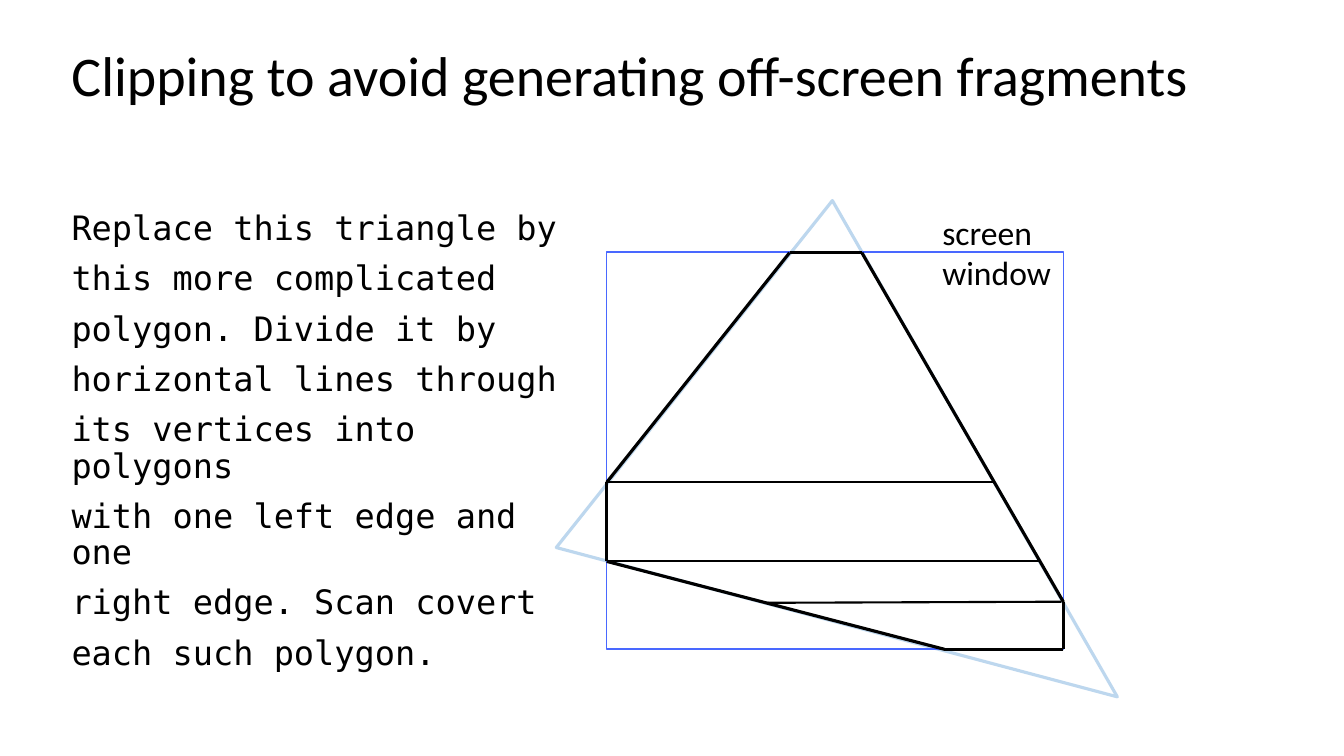
"""Build a slide on clipping a triangle to the screen window."""
import itertools

import pptx
import pptx.dml.color
import pptx.enum.shapes
import pptx.enum.text
import pptx.oxml.ns
import pptx.util
from lxml import etree

Pt = pptx.util.Pt
RGBColor = pptx.dml.color.RGBColor
MSO_SHAPE = pptx.enum.shapes.MSO_SHAPE
MSO_ANCHOR = pptx.enum.text.MSO_ANCHOR

BLACK = RGBColor(0x00, 0x00, 0x00)
PALE_BLUE = RGBColor(0xBD, 0xD7, 0xEE)
WINDOW_BLUE = RGBColor(0x49, 0x68, 0xFF)

LEFT, TOP, RIGHT, BOTTOM = 433.4, 180.5, 759.6, 463.8
UPPER_CUT, LOWER_CUT, RIGHT_CUT = 344.5, 401, 430

CLIPPED_POLYGON = [
    (LEFT, UPPER_CUT), (564, TOP), (615.6, TOP), (RIGHT, RIGHT_CUT),
    (RIGHT, BOTTOM), (674.6, BOTTOM), (LEFT, LOWER_CUT),
]
DIVIDERS = [
    ((LEFT, UPPER_CUT), (710.6, UPPER_CUT)),
    ((LEFT, LOWER_CUT), (743.8, LOWER_CUT)),
    ((545.8, 430.6), (758.2, 429.8)),
]
EXPLANATION = [
    "Replace this triangle by",
    "this more complicated",
    "polygon. Divide it by",
    "horizontal lines through",
    "its vertices into polygons",
    "with one left edge and one",
    "right edge. Scan covert",
    "each such polygon.",
]


def add_outline(s, kind, box, color, width):
    """Add an unfilled preset shape."""
    sp = s.shapes.add_shape(kind, *map(Pt, box))
    sp.shadow.inherit = False
    sp.fill.background()
    sp.line.color.rgb = color
    sp.line.width = Pt(width)
    return sp


def add_line(s, start, end, width):
    """Add a straight black line between two points."""
    line = s.shapes.add_connector(
        pptx.enum.shapes.MSO_CONNECTOR.STRAIGHT, *map(Pt, start + end))
    line.line.color.rgb = BLACK
    line.line.width = Pt(width)
    etree.SubElement(line._element.spPr, pptx.oxml.ns.qn("a:effectLst"))


def add_text(s, box, lines, font, size, spacing=1.0, gap=0, anchor=MSO_ANCHOR.TOP):
    """Add a wrapped text box with one paragraph per line."""
    tf = s.shapes.add_textbox(*map(Pt, box)).text_frame
    tf.word_wrap = True
    tf.vertical_anchor = anchor
    tf.text = "\n".join(lines)
    for i, p in enumerate(tf.paragraphs):
        p.line_spacing = spacing
        p.space_before = Pt(gap if i else 0)
        for r in p.runs:
            r.font.name = font
            r.font.size = Pt(size)
            r.font.color.rgb = BLACK


def main():
    """Draw the slide and save it."""
    prs = pptx.Presentation()
    prs.slide_width, prs.slide_height = Pt(960), Pt(540)
    s = prs.slides.add_slide(prs.slide_layouts[6])

    triangle = add_outline(s, MSO_SHAPE.ISOSCELES_TRIANGLE,
                           (427.7, 159.1, 414.7, 290.2), PALE_BLUE, 2.25)
    triangle.adjustments[0] = 0.306
    triangle.rotation = 14.9
    add_outline(s, MSO_SHAPE.RECTANGLE,
                (LEFT, 180, RIGHT - LEFT, 283.7), WINDOW_BLUE, 1)

    add_text(s, (44, 147.6, 363.6, 369.4), EXPLANATION, "DejaVu Sans Mono", 24,
             spacing=0.9, gap=10)
    add_text(s, (44, 14.4, 849.6, 67), ["Clipping to avoid generating off-screen fragments"],
             "Calibri", 40, spacing=0.9, anchor=MSO_ANCHOR.BOTTOM)
    add_text(s, (666, 147.6, 119.5, 65.5), ["screen window"], "Calibri", 24)

    closed = CLIPPED_POLYGON + CLIPPED_POLYGON[:1]
    for start, end in itertools.pairwise(closed):
        add_line(s, start, end, 2.25)
    for start, end in DIVIDERS:
        add_line(s, start, end, 1.5)
    prs.save("out.pptx")


if __name__ == "__main__":
    main()
